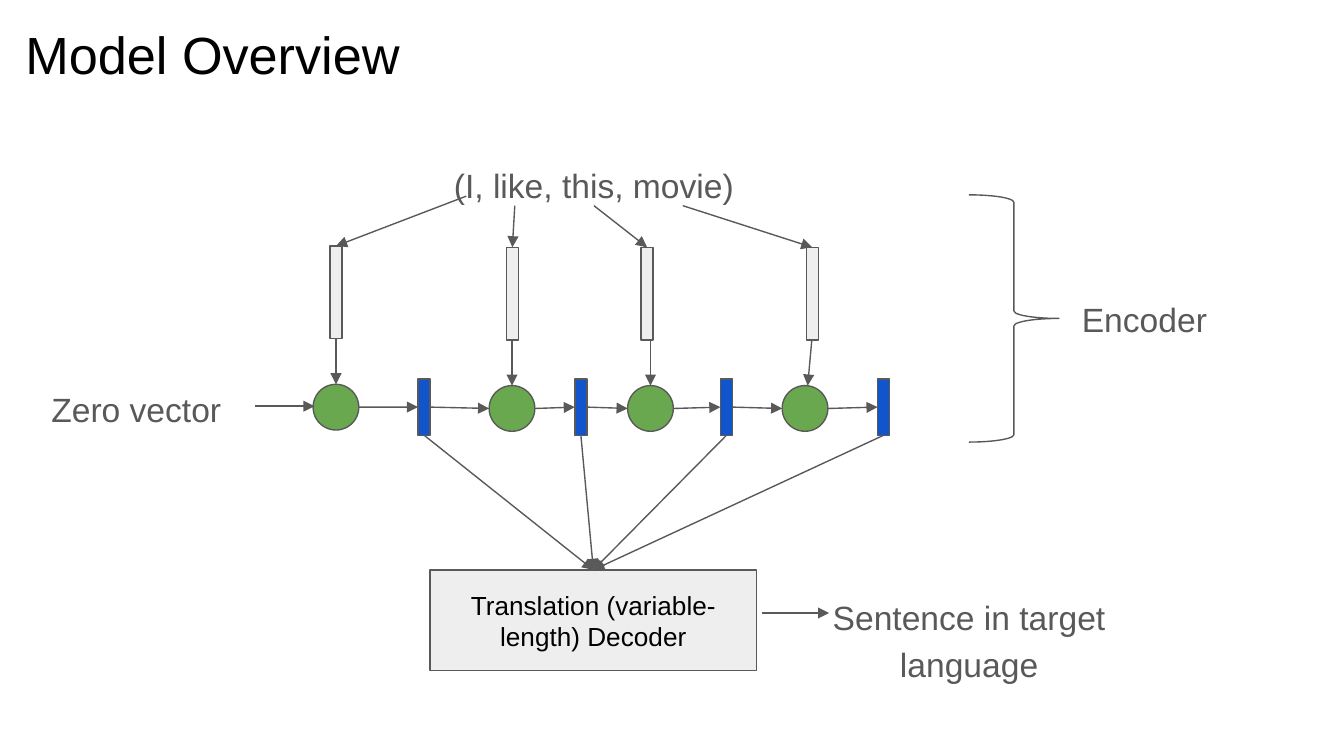
import pptx
import pptx.util
import pptx.dml.color
import pptx.enum.shapes
import pptx.enum.text
import pptx.oxml.ns
import lxml.etree

Pt = pptx.util.Pt
SHAPES = pptx.enum.shapes.MSO_SHAPE
ALIGN = pptx.enum.text.PP_ALIGN
ANCHOR = pptx.enum.text.MSO_ANCHOR

GRAY, BLACK, PALE, GREEN, BLUE = "595959", "000000", "EEEEEE", "6AA84F", "1155CC"

TITLE = ("Model Overview", (6.5, 5, 671, 45.4))
LABELS = [
    ("(I, like, this, movie)", (192.2, 77.8, 252, 27.4)),
    ("Zero vector", (12.2, 198, 121.7, 27.4)),
    ("Encoder", (542.2, 149.8, 141.8, 27.4)),
    ("Sentence in target language", (437.8, 309.6, 162.7, 49.7)),
]
DECODER = ("Translation (variable-length) Decoder", (230.4, 305.3, 175, 54))
BRACE = (519.1, 104.4, 48.2, 132.5)

# One recurrent step each; x values are centres, "drop" is the arrow into the cell.
STEPS = [
    {"word": (249.8, 105.1), "embedding": 180, "drop": (180, 180),
     "cell": 180, "state": 227.2, "shift": 0},
    {"word": (275.8, 110.2), "embedding": 274.5, "drop": (274.3, 274.3),
     "cell": 274.3, "state": 311.2, "shift": 0.7},
    {"word": (318.2, 110.2), "embedding": 346.7, "drop": (348.5, 348.5),
     "cell": 348.5, "state": 389.2, "shift": 0.7},
    {"word": (365.8, 110.2), "embedding": 435.2, "drop": (434.9, 432.7),
     "cell": 431.3, "state": 473.4, "shift": 0.7},
]
BAR_WIDTH = 6.5
EMBEDDING_TOP, EMBEDDING_HEIGHT = 131.8, 49.7
CELL_TOP, CELL_SIZE = 205.9, 24.5
STATE_TOP, STATE_HEIGHT = 203, 30.2
SIDE_ARROWS = [((136.8, 217.6), (168.5, 217.6)), ((408.2, 328.4), (444.2, 328.4))]


def color(value):
    """Turn a hex string into a colour."""
    return pptx.dml.color.RGBColor.from_string(value)


def write(box, text, size, ink, align):
    """Put one paragraph of text into a box."""
    frame = box.text_frame
    frame.word_wrap = True
    para = frame.paragraphs[0]
    para.text = text
    para.alignment = align
    para.font.name = "Arial"
    para.font.size = Pt(size)
    para.font.color.rgb = color(ink)
    frame.margin_left = frame.margin_right = Pt(7.2)
    frame.margin_top = frame.margin_bottom = Pt(7.2)
    return para


def add_text(page, text, place, size, ink, align):
    """Add a text box and return its paragraph."""
    box = page.shapes.add_textbox(*map(Pt, place))
    return write(box, text, size, ink, align)


def add_shape(page, kind, place, fill=None):
    """Add an outlined shape, filled if a colour is given."""
    shape = page.shapes.add_shape(kind, *map(Pt, place))
    shape.shadow.inherit = False
    if fill:
        shape.fill.solid()
        shape.fill.fore_color.rgb = color(fill)
    else:
        shape.fill.background()
    shape.line.color.rgb = color(GRAY)
    shape.line.width = Pt(0.75)
    return shape


def add_arrow(page, start, end):
    """Add a straight arrow between two points."""
    arrow = page.shapes.add_connector(
        pptx.enum.shapes.MSO_CONNECTOR.STRAIGHT, *map(Pt, (*start, *end)))
    arrow.line.color.rgb = color(GRAY)
    arrow.line.width = Pt(0.75)
    qn = pptx.oxml.ns.qn
    lxml.etree.SubElement(arrow.line._get_or_add_ln(), qn("a:tailEnd"), type="triangle")
    lxml.etree.SubElement(arrow._element.spPr, qn("a:effectLst"))


def add_step(page, step):
    """Draw one word's embedding, cell and state with their arrows."""
    top = EMBEDDING_TOP + step["shift"]
    bottom = top + EMBEDDING_HEIGHT
    cell_top = CELL_TOP + step["shift"]
    middle = cell_top + CELL_SIZE / 2
    state_middle = STATE_TOP + STATE_HEIGHT / 2
    embedding, cell, state = step["embedding"], step["cell"], step["state"]
    drop_from, drop_to = step["drop"]
    add_arrow(page, step["word"], (embedding, top))
    add_shape(page, SHAPES.RECTANGLE,
              (embedding - BAR_WIDTH / 2, top, BAR_WIDTH, EMBEDDING_HEIGHT), PALE)
    add_arrow(page, (drop_from, bottom), (drop_to, cell_top))
    add_shape(page, SHAPES.OVAL,
              (cell - CELL_SIZE / 2, cell_top, CELL_SIZE, CELL_SIZE), GREEN)
    add_shape(page, SHAPES.RECTANGLE,
              (state - BAR_WIDTH / 2, STATE_TOP, BAR_WIDTH, STATE_HEIGHT), BLUE)
    add_arrow(page, (cell + CELL_SIZE / 2, middle), (state - BAR_WIDTH / 2, state_middle))


def main():
    """Build the slide and save it."""
    deck = pptx.Presentation()
    deck.slide_width, deck.slide_height = Pt(720), Pt(405)
    page = deck.slides.add_slide(deck.slide_layouts[6])

    add_text(page, *TITLE, 28, BLACK, ALIGN.LEFT)
    for text, place in LABELS:
        para = add_text(page, text, place, 18, GRAY, ALIGN.CENTER)
        para.line_spacing = 1.15
        para.space_after = Pt(16)

    for step in STEPS:
        add_step(page, step)
    for before, after in zip(STEPS, STEPS[1:]):
        add_arrow(page,
                  (before["state"] + BAR_WIDTH / 2, STATE_TOP + STATE_HEIGHT / 2),
                  (after["cell"] - CELL_SIZE / 2, CELL_TOP + after["shift"] + CELL_SIZE / 2))

    brace = add_shape(page, SHAPES.RIGHT_BRACE, BRACE)
    brace.adjustments[0] = 0.083

    text, place = DECODER
    decoder = add_shape(page, SHAPES.RECTANGLE, place, PALE)
    write(decoder, text, 14, BLACK, ALIGN.CENTER)
    decoder.text_frame.vertical_anchor = ANCHOR.MIDDLE
    left, top, width, _ = place
    for step in STEPS:
        add_arrow(page, (step["state"], STATE_TOP + STATE_HEIGHT), (left + width / 2, top))
    for start, end in SIDE_ARROWS:
        add_arrow(page, start, end)

    deck.save("out.pptx")


main()
